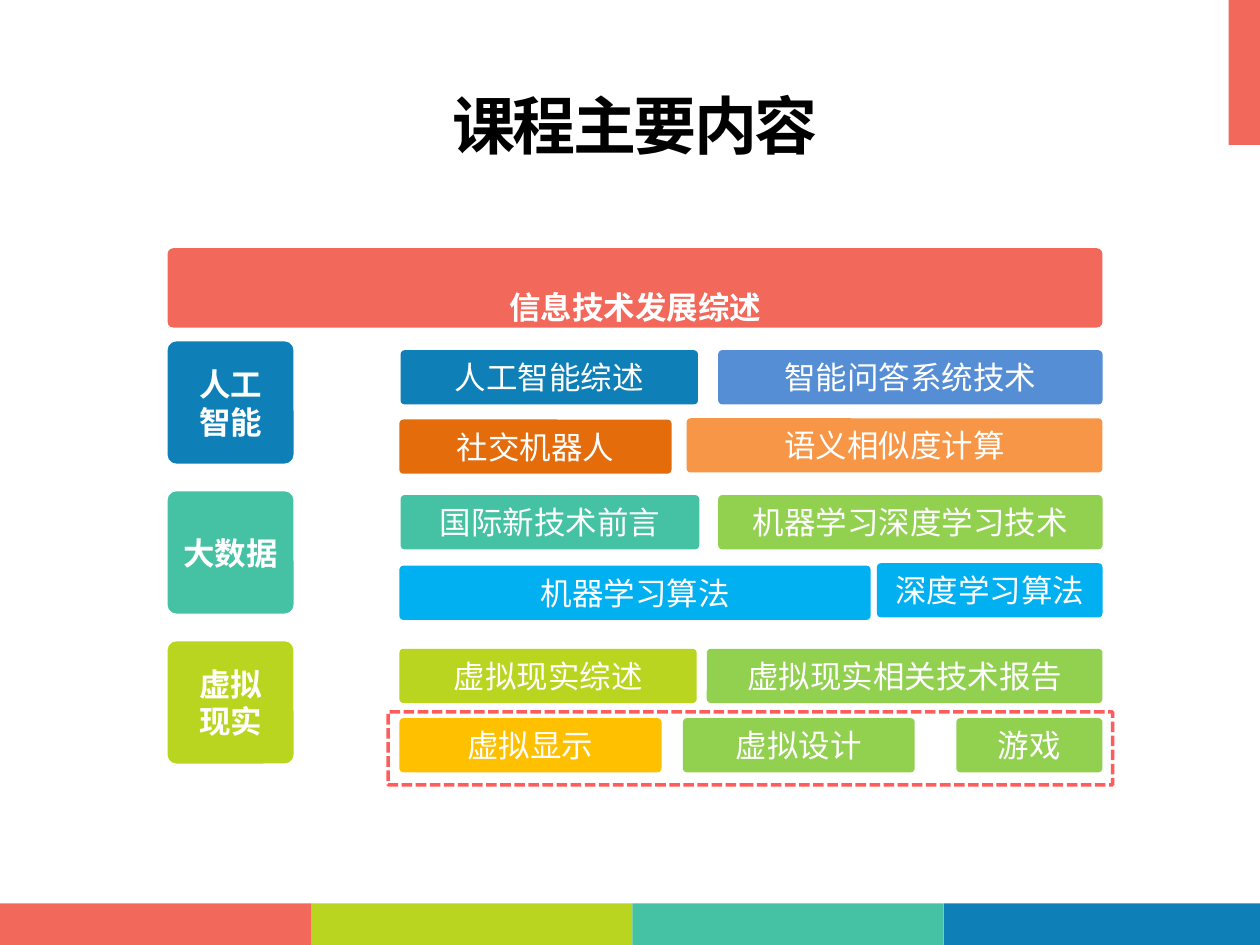
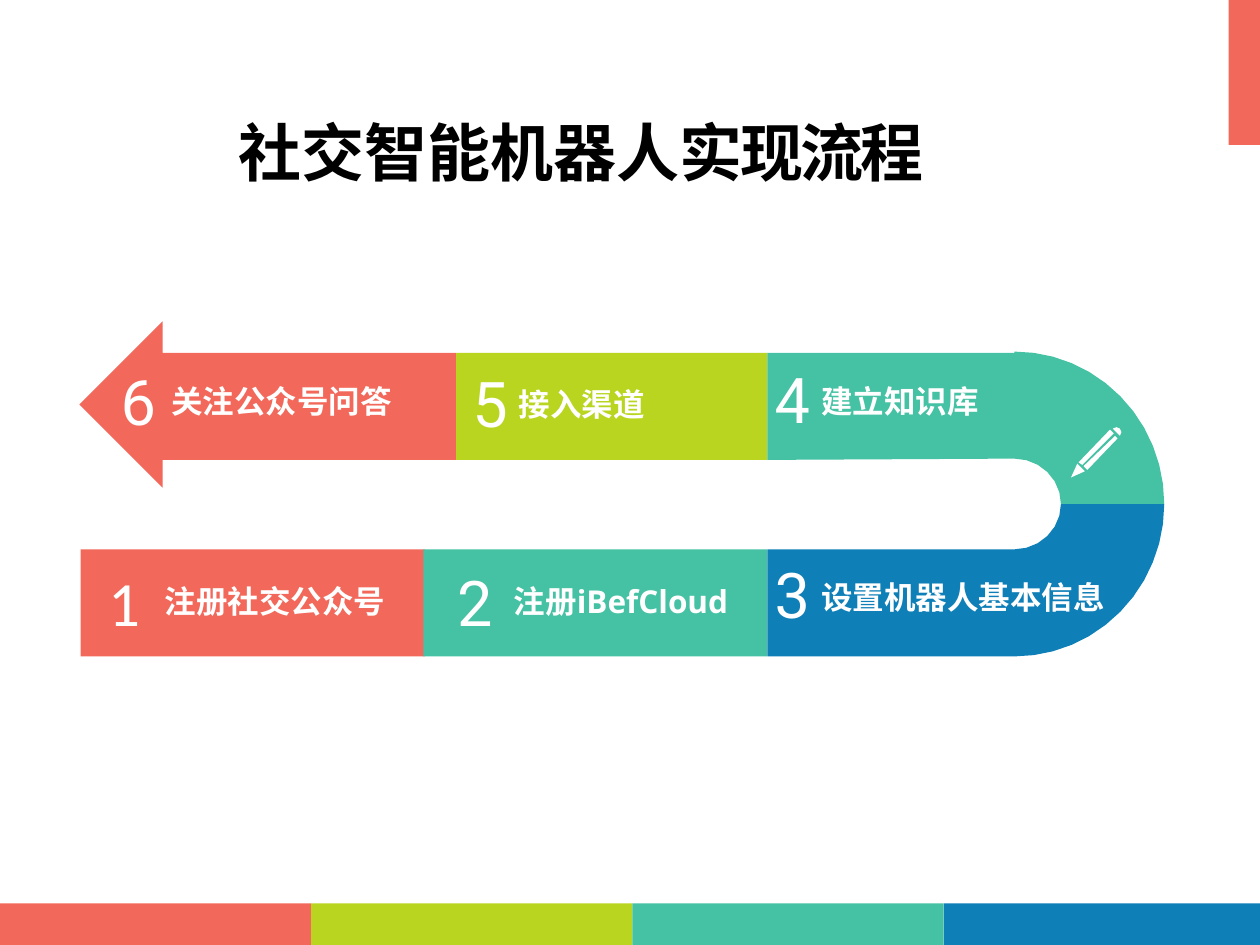
import math

from lxml import etree
from pptx import Presentation
from pptx import util as u
from pptx.dml.color import RGBColor
from pptx.enum import dml, shapes, text
from pptx.oxml.ns import qn

COLOURS = {
    "coral": "F2685A", "lime": "B9D51F", "teal": "45C1A4", "blue": "0E7FB7",
    "sky": "558ED5", "rust": "E46C0A", "orange": "F79646", "green": "92D050",
    "cyan": "00B0F0", "amber": "FFC000", "red": "FF0000",
    "white": "FFFFFF", "black": "000000",
}
CJK_FONT = "Noto Sans CJK SC"
RECT = shapes.MSO_SHAPE.RECTANGLE
ROUNDED = shapes.MSO_SHAPE.ROUNDED_RECTANGLE
CENTER = text.PP_ALIGN.CENTER
LEFT = text.PP_ALIGN.LEFT


def colour(name):
    return RGBColor.from_string(COLOURS[name])


# Shared helpers

def inches(*lengths):
    return [u.Inches(length) for length in lengths]


def paint(shape, fill):
    shape.shadow.inherit = False
    shape.fill.solid()
    shape.fill.fore_color.rgb = colour(fill)
    shape.line.fill.background()
    return shape


def add_span(para, words, size=18, font=CJK_FONT, bold=False, ink="white", spacing=None):
    span = para.add_run()
    span.text = words
    span.font.size = u.Pt(size)
    span.font.name = font
    span.font.bold = bold
    span.font.color.rgb = colour(ink)
    properties = span.font._element
    if spacing is not None:
        properties.set("spc", str(round(spacing * 100)))
    east_asian = etree.Element(qn("a:ea"), typeface=CJK_FONT)
    properties.find(qn("a:latin")).addnext(east_asian)


def add_block(page, box, fill, lines=(), bold=False, kind=RECT):
    block = paint(page.shapes.add_shape(kind, *inches(*box)), fill)
    if kind == ROUNDED:
        block.adjustments[0] = 0.074
    frame = block.text_frame
    frame.vertical_anchor = text.MSO_ANCHOR.MIDDLE
    for index, words in enumerate(lines):
        para = frame.add_paragraph() if index else frame.paragraphs[0]
        para.alignment = CENTER
        add_span(para, words, bold=bold)
    return block


def add_label(page, box, words, **style):
    label = page.shapes.add_textbox(*inches(*box))
    label.text_frame.word_wrap = True
    para = label.text_frame.paragraphs[0]
    para.alignment = LEFT
    add_span(para, words, **style)


def add_outline(page, points, fill):
    corners = [inches(x, y) for x, y in points]
    builder = page.shapes.build_freeform(*corners[0])
    builder.add_line_segments(corners[1:], close=True)
    return paint(builder.convert_to_shape(), fill)


def arc(x, y, radii, start, end, steps):
    """Points along an ellipse, angles in degrees clockwise from the right."""
    angles = [math.radians(start + (end - start) * i / steps) for i in range(steps + 1)]
    return [(x + radii[0] * math.cos(a), y + radii[1] * math.sin(a)) for a in angles]


def move_bands_to_layout(page):
    """Footer strips and the corner tab, shared through the layout."""
    lefts = [0, 2.47, 5.02, 7.49, 10]
    bands = [add_block(page, (left, 7.17, right - left, 0.33), fill)
             for left, right, fill in zip(lefts, lefts[1:], ("coral", "lime", "teal", "blue"))]
    bands.append(add_block(page, (9.75, 0, 0.25, 1.15), "coral"))
    for band in bands:
        page.slide_layout.shapes._spTree.append(band._element)


def add_page(deck, title_box, title_spans):
    page = deck.slides.add_slide(deck.slide_layouts[5])
    title = page.shapes.title
    title.left, title.top, title.width, title.height = inches(*title_box)
    frame = title.text_frame
    frame.margin_left = frame.margin_right = u.Inches(0.05)
    frame.margin_top = frame.margin_bottom = u.Inches(0.03)
    frame.vertical_anchor = text.MSO_ANCHOR.TOP
    frame.auto_size = text.MSO_AUTO_SIZE.SHAPE_TO_FIT_TEXT
    frame.word_wrap = False
    para = frame.paragraphs[0]
    para.alignment = CENTER
    for words, font, spacing in title_spans:
        add_span(para, words, 36, font, True, "black", spacing)
    return page


# Course contents: name lines, colour, chips as
# (left and top from the topic's corner, width, colour, words)
TOPICS = [
    (["人工", "智能"], "blue", [
        (1.85, 0.07, 2.36, "blue", "人工智能综述"),
        (4.37, 0.07, 3.05, "sky", "智能问答系统技术"),
        (1.84, 0.62, 2.16, "rust", "社交机器人"),
        (4.12, 0.61, 3.3, "orange", "语义相似度计算")]),
    (["大数据"], "teal", [
        (1.85, 0.03, 2.37, "teal", "国际新技术前言"),
        (4.37, 0.03, 3.05, "green", "机器学习深度学习技术"),
        (1.84, 0.59, 3.74, "cyan", "机器学习算法"),
        (5.63, 0.57, 1.79, "cyan", "深度学习算法")]),
    (["虚拟", "现实"], "lime", [
        (1.84, 0.06, 2.36, "lime", "虚拟现实综述"),
        (4.28, 0.06, 3.14, "green", "虚拟现实相关技术报告"),
        (1.84, 0.61, 2.08, "amber", "虚拟显示"),
        (4.09, 0.61, 1.84, "green", "虚拟设计"),
        (6.26, 0.61, 1.16, "green", "游戏")]),
]


def add_header(page, box):
    header = add_block(page, box, "coral", ["信息技术发展综述"], True, ROUNDED)
    header.text_frame.paragraphs[0].line_spacing = 2.0


def add_highlight(page, box):
    frame = page.shapes.add_shape(RECT, *inches(*box))
    frame.shadow.inherit = False
    frame.fill.background()
    frame.line.color.rgb = colour("red")
    frame.line.width = u.Pt(2)
    frame.line.dash_style = dml.MSO_LINE.SQUARE_DOT
    tint = frame.line._ln.find(".//" + qn("a:srgbClr"))
    etree.SubElement(tint, qn("a:alpha"), val="63000")


def add_topic(page, left, top, topic):
    name, fill, chips = topic
    add_block(page, (left, top, 1, 0.97), fill, name, True, ROUNDED)
    for x, y, width, chip_fill, words in chips:
        add_block(page, (left + x, top + y, width, 0.43), chip_fill, [words], kind=ROUNDED)


def build_contents(deck):
    page = add_page(deck, (3.54, 0.66, 3, 0.66), [("课程主要内容", "Calibri", -1.5)])
    move_bands_to_layout(page)
    add_highlight(page, (3.08, 5.65, 5.75, 0.58))
    for index, topic in enumerate(TOPICS):
        add_topic(page, 1.33, 2.71 + 1.19 * index, topic)
    add_header(page, (1.33, 1.97, 7.42, 0.63))


# Process: number, its place, words, their place and width (within the track)
STEPS = [
    ("1", 0.13, 1.87, "注册社交公众号", 0.58, 2.02, 2.02),
    ("2", 2.9, 1.87, "注册iBefCloud", 3.35, 2.02, 2.11),
    ("3", 5.42, 1.81, "设置机器人基本信息", 5.79, 1.99, 2.6),
    ("4", 5.42, 0.26, "建立知识库", 5.79, 0.43, 1.59),
    ("5", 3.02, 0.29, "接入渠道", 3.39, 0.46, 1.59),
    ("6", 0.23, 0.28, "关注公众号问答", 0.63, 0.43, 2.13),
]


def add_half_bend(page, left, middle, side, outer_edge, inner_edge, fill):
    """Half of the U-turn: side is -1 above the middle line, 1 below it."""
    centre = left + 1.96
    points = [(left, middle + side * outer_edge), (centre, middle + side * outer_edge)]
    points += arc(centre, middle, (1.19, 1.21), side * 90, 0, 12)
    points += arc(centre, middle, (0.37, 0.36), 0, side * 90, 6)
    points.append((left, middle + side * inner_edge))
    add_outline(page, points, fill)


def add_track(page, left, top):
    # Arrow head with the last step
    arrow = [(0, 0.66), (0.66, 0), (0.66, 0.25), (2.99, 0.25),
             (2.99, 1.1), (0.66, 1.1), (0.66, 1.32)]
    add_outline(page, [(left + x, top + y) for x, y in arrow], "coral")
    # Straight parts
    for x, y, width, fill in ((2.99, 0.25, 2.47, "lime"),
                              (0.01, 1.81, 2.73, "coral"), (2.73, 1.81, 2.73, "teal")):
        add_block(page, (left + x, top + y, width, 0.85), fill)
    # U-turn
    add_half_bend(page, left + 5.46, top + 1.45, -1, 1.2, 0.35, "teal")
    add_half_bend(page, left + 5.46, top + 1.45, 1, 1.21, 0.36, "blue")


def add_pencil(page, left, top):
    tip = [(0.05, 0.3), (0, 0.41), (0.11, 0.36)]
    upper_side = [(0.31, 0.03), (0.06, 0.29), (0.09, 0.31), (0.34, 0.06)]
    lower_side = [(0.35, 0.08), (0.1, 0.32), (0.13, 0.35), (0.37, 0.1)]
    eraser = arc(0.36, 0.05, (0.04, 0.04), -135, 45, 4)
    for piece in (tip, upper_side, lower_side, eraser):
        add_outline(page, [(left + x, top + y) for x, y in piece], "white")


def add_steps(page, left, top):
    for number, number_x, number_y, words, x, y, width in STEPS:
        font = "Calibri" if number == "1" else "Roboto"
        add_label(page, (left + number_x, top + number_y, 0.5, 0.71), number,
                  size=36, font=font)
        add_label(page, (left + x, top + y, width, 0.4), words,
                  font="Open Sans", bold=True)


def build_process(deck):
    page = add_page(deck, (1.66, 0.87, 5.91, 0.66),
                    [("社交智能机器人", CJK_FONT, None), ("实现流程", CJK_FONT, -1.5)])
    add_track(page, 0.63, 2.55)
    add_pencil(page, 8.5, 3.38)
    add_steps(page, 0.63, 2.55)


def main():
    deck = Presentation()
    deck.slide_width, deck.slide_height = inches(10, 7.5)
    build_contents(deck)
    build_process(deck)
    deck.save("out.pptx")


if __name__ == "__main__":
    main()
